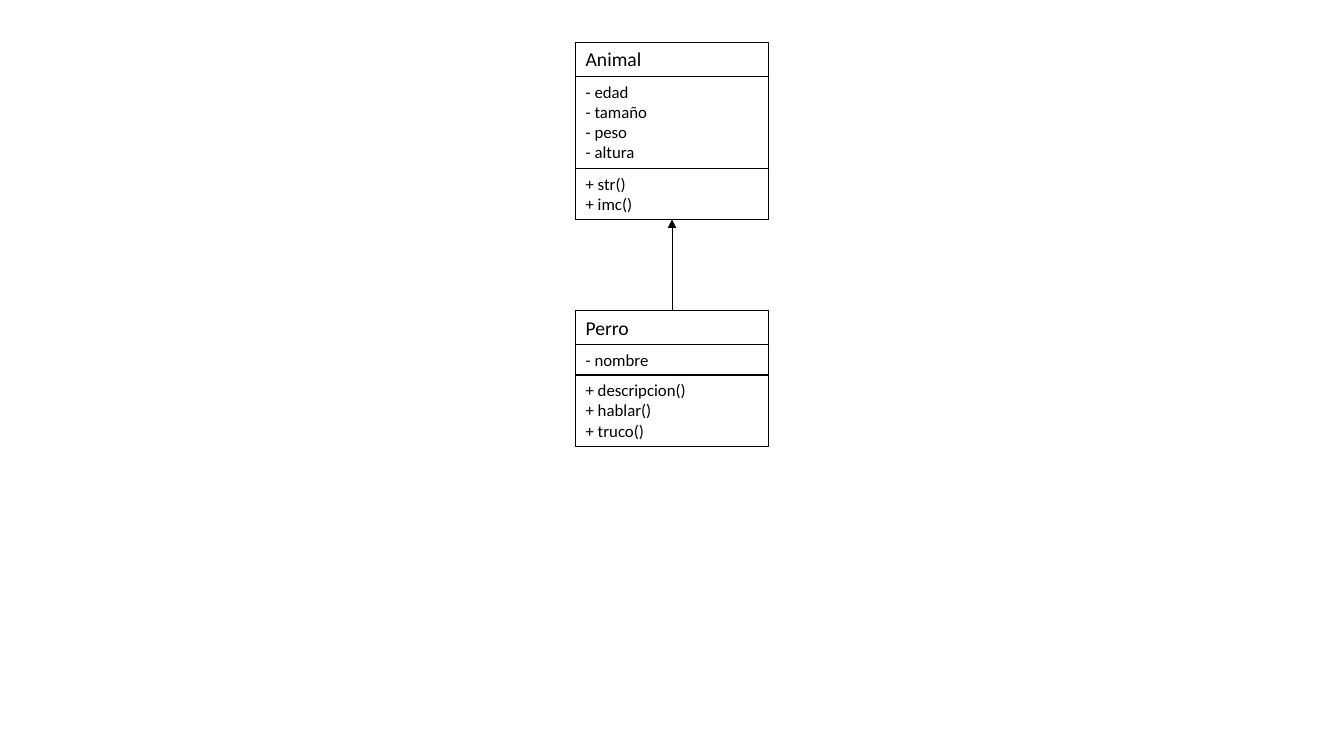
"""Draw a class diagram in which Perro inherits from Animal."""
from dataclasses import dataclass

from lxml import etree
from pptx import Presentation, util as u
from pptx.dml.color import RGBColor
from pptx.enum import shapes, text
from pptx.oxml.ns import qn


@dataclass(frozen=True)
class Theme:
    """Hold the colours, type sizes and line widths of the diagram."""
    ink: RGBColor = RGBColor(0, 0, 0)
    paper: RGBColor = RGBColor(255, 255, 255)
    font: str = "Calibri"
    name_size: int = 14
    member_size: int = 12
    border: float = 1
    arrow: float = 0.5
    line_spacing: float = 1.22


THEME = Theme()
SLIDE_WIDTH, SLIDE_HEIGHT = u.Inches(13.33), u.Inches(7.5)
CLASS_WIDTH = u.Inches(1.91)
CLASS_LEFT = (SLIDE_WIDTH - CLASS_WIDTH) // 2
PADDING = u.Inches(0.05)
CLASSES = [
    (0.42 / 7.5, "Animal", ["- edad", "- tamaño", "- peso", "- altura"],
     ["+ str()", "+ imc()"]),
    (3.08 / 7.5, "Perro", ["- nombre"],
     ["+ descripcion()", "+ hablar()", "+ truco()"]),
]


def apply_format(target, values):
    """Set each named attribute of the target."""
    for attribute, value in values.items():
        setattr(target, attribute, value)


def add_compartment(slide, top, entries, size):
    """Add one bordered compartment, as tall as its entries."""
    height = 2 * PADDING + u.Pt(len(entries) * size * THEME.line_spacing)
    compartment = slide.shapes.add_shape(
        shapes.MSO_SHAPE.RECTANGLE, CLASS_LEFT, top, CLASS_WIDTH, height)
    compartment.shadow.inherit = False
    compartment.fill.solid()
    compartment.fill.fore_color.rgb = THEME.paper
    compartment.line.color.rgb = THEME.ink
    compartment.line.width = u.Pt(THEME.border)
    frame = compartment.text_frame
    frame.text = "\n".join(entries)
    apply_format(frame, {
        "word_wrap": True,
        "auto_size": text.MSO_AUTO_SIZE.SHAPE_TO_FIT_TEXT,
        "vertical_anchor": text.MSO_ANCHOR.TOP,
        "margin_top": PADDING,
        "margin_bottom": PADDING,
    })
    for entry in frame.paragraphs:
        entry.alignment = text.PP_ALIGN.LEFT
        apply_format(entry.runs[0].font,
                     {"name": THEME.font, "size": u.Pt(size)})
        entry.runs[0].font.color.rgb = THEME.ink
    return compartment


def add_class(slide, top_share, name, attributes, methods):
    """Stack a class's compartments and return the first and last."""
    top = int(SLIDE_HEIGHT * top_share)
    compartments = []
    for entries, size in (([name], THEME.name_size),
                          (attributes, THEME.member_size),
                          (methods, THEME.member_size)):
        compartments.append(add_compartment(slide, top, entries, size))
        top += compartments[-1].height
    return compartments[0], compartments[-1]


def add_inheritance(slide, child_name, parent_methods):
    """Draw an arrow from the child's top to the parent's bottom."""
    inheritance = slide.shapes.add_connector(
        shapes.MSO_CONNECTOR.STRAIGHT, 0, 0, 0, 0)
    inheritance.begin_connect(child_name, 0)
    inheritance.end_connect(parent_methods, 2)
    inheritance.line.color.rgb = THEME.ink
    inheritance.line.width = u.Pt(THEME.arrow)
    etree.SubElement(inheritance.line._get_or_add_ln(), qn("a:tailEnd"),
                     type="triangle")
    etree.SubElement(inheritance._element.spPr, qn("a:effectLst"))


def main():
    """Build and save the slide."""
    deck = Presentation()
    apply_format(deck, {"slide_width": SLIDE_WIDTH,
                        "slide_height": SLIDE_HEIGHT})
    slide = deck.slides.add_slide(deck.slide_layouts[6])
    animal, perro = [add_class(slide, *details) for details in CLASSES]
    add_inheritance(slide, perro[0], animal[-1])
    deck.save("out.pptx")


if __name__ == "__main__":
    main()
